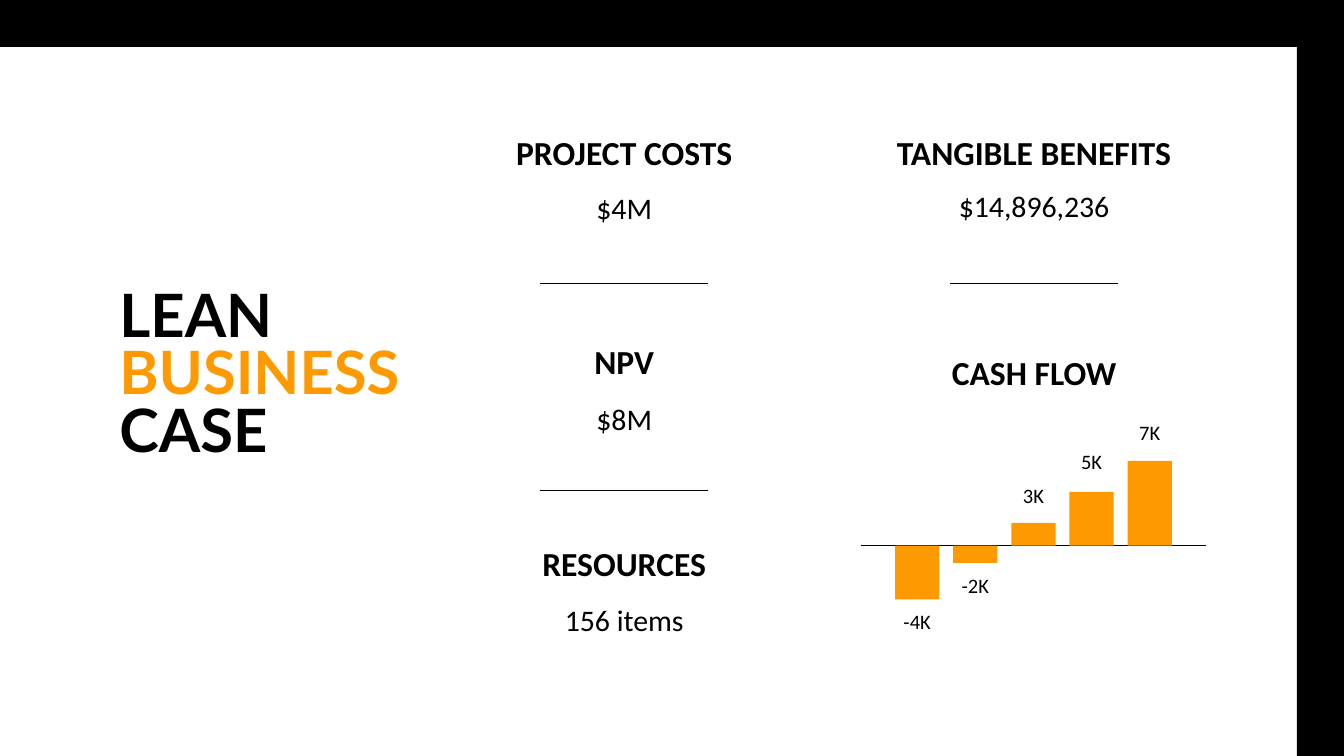
from lxml import etree
from pptx import Presentation
from pptx.dml.color import RGBColor
from pptx.enum import shapes, text
from pptx.oxml.ns import qn
from pptx.util import Inches, Pt

COLORS = {"black": "000000", "orange": "FF9900"}
WIDTH, BAND = 10, 0.35
HEIGHT = WIDTH * 9 / 16

TITLE = [("LEAN ", "black"), ("BUSINESS", "orange"), (" CASE", "black")]
# column: left, width, facts as (heading, heading top, value, value top)
COLUMNS = [
    (3.58, 2.13, [
        ("PROJECT COSTS", 0.88, "$4M", 1.31),
        ("NPV", 2.44, "$8M", 2.88),
        ("RESOURCES", 3.94, "156 items", 4.38),
    ]),
    (6.18, 3.03, [
        ("TANGIBLE BENEFITS", 0.88, "$14,896,236", 1.3),
        ("CASH FLOW", 2.52, None, None),
    ]),
]
RULE_LENGTH = 1.25
RULES = [(4.02, 2.11), (7.07, 2.11), (4.02, 3.65)]

# label, label top, bar height (negative bars hang below the axis)
CASH_FLOW = [
    ("-4K", 4.44, -0.4),
    ("-2K", 4.17, -0.13),
    ("3K", 3.5, 0.17),
    ("5K", 3.25, 0.4),
    ("7K", 3.03, 0.63),
]
AXIS_LEFT, AXIS_RIGHT, AXIS_Y = 6.41, 8.97, 4.06
FIRST_BAR, LAST_BAR, BAR_WIDTH = 6.66, 8.39, 0.33
BAR_STEP = (LAST_BAR - FIRST_BAR) / (len(CASH_FLOW) - 1)
LABEL_WIDTH, LABEL_HEIGHT = 0.53, 0.4


def color(name):
    return RGBColor.from_string(COLORS[name])


def add_block(page, left, top, width, height, fill):
    block = page.shapes.add_shape(
        shapes.MSO_SHAPE.RECTANGLE, *map(Inches, (left, top, width, height)))
    block.shadow.inherit = False
    block.fill.solid()
    block.fill.fore_color.rgb = color(fill)
    block.line.fill.background()


def add_rule(page, left, right, y):
    rule = page.shapes.add_connector(
        shapes.MSO_CONNECTOR.STRAIGHT, *map(Inches, (left, y, right, y)))
    rule.line.color.rgb = color("black")
    rule.line.width = Pt(0.75)
    etree.SubElement(rule._element.spPr, qn("a:effectLst"))


def add_text(page, left, top, width, height, spans, size, font="Calibri", bold=False,
             align=text.PP_ALIGN.CENTER, anchor=text.MSO_ANCHOR.TOP, spacing=None):
    """Add a one-paragraph box; spans are (words, colour name) pairs."""
    box = page.shapes.add_textbox(*map(Inches, (left, top, width, height)))
    frame = box.text_frame
    frame.word_wrap = True
    frame.vertical_anchor = anchor
    frame.margin_left = frame.margin_right = Inches(0.1)
    frame.margin_top = frame.margin_bottom = Inches(0.1)
    para = frame.paragraphs[0]
    para.alignment = align
    para.line_spacing = spacing
    for words, fill in spans:
        span = para.add_run()
        span.text = words
        span.font.name = font
        span.font.size = Pt(size)
        span.font.bold = bold
        span.font.color.rgb = color(fill)


def add_facts(page):
    for left, width, facts in COLUMNS:
        for heading, heading_top, value, value_top in facts:
            add_text(page, left, heading_top, width, 0.43, [(heading, "black")], 18, bold=True)
            if value:
                add_text(page, left, value_top, width, 0.4, [(value, "black")], 16)
    for left, y in RULES:
        add_rule(page, left, left + RULE_LENGTH, y)


def add_cash_flow(page):
    add_rule(page, AXIS_LEFT, AXIS_RIGHT, AXIS_Y)
    for index, (label, label_top, rise) in enumerate(CASH_FLOW):
        left = FIRST_BAR + index * BAR_STEP
        add_block(page, left, AXIS_Y - max(rise, 0), BAR_WIDTH, abs(rise), "orange")
        add_text(page, left - (LABEL_WIDTH - BAR_WIDTH) / 2, label_top,
                 LABEL_WIDTH, LABEL_HEIGHT, [(label, "black")], 11)


def main():
    deck = Presentation()
    deck.slide_width, deck.slide_height = Inches(WIDTH), Inches(HEIGHT)
    page = deck.slides.add_slide(deck.slide_layouts[6])
    add_block(page, WIDTH - BAND, 0, BAND, HEIGHT, "black")
    add_block(page, 0, 0, WIDTH, BAND, "black")
    add_text(page, 0.79, 2.11, 3.41, 1.4, TITLE, 32, font="Lato", bold=True,
             align=text.PP_ALIGN.LEFT, anchor=text.MSO_ANCHOR.MIDDLE, spacing=0.8)
    add_facts(page)
    add_cash_flow(page)
    deck.save("out.pptx")


if __name__ == "__main__":
    main()
